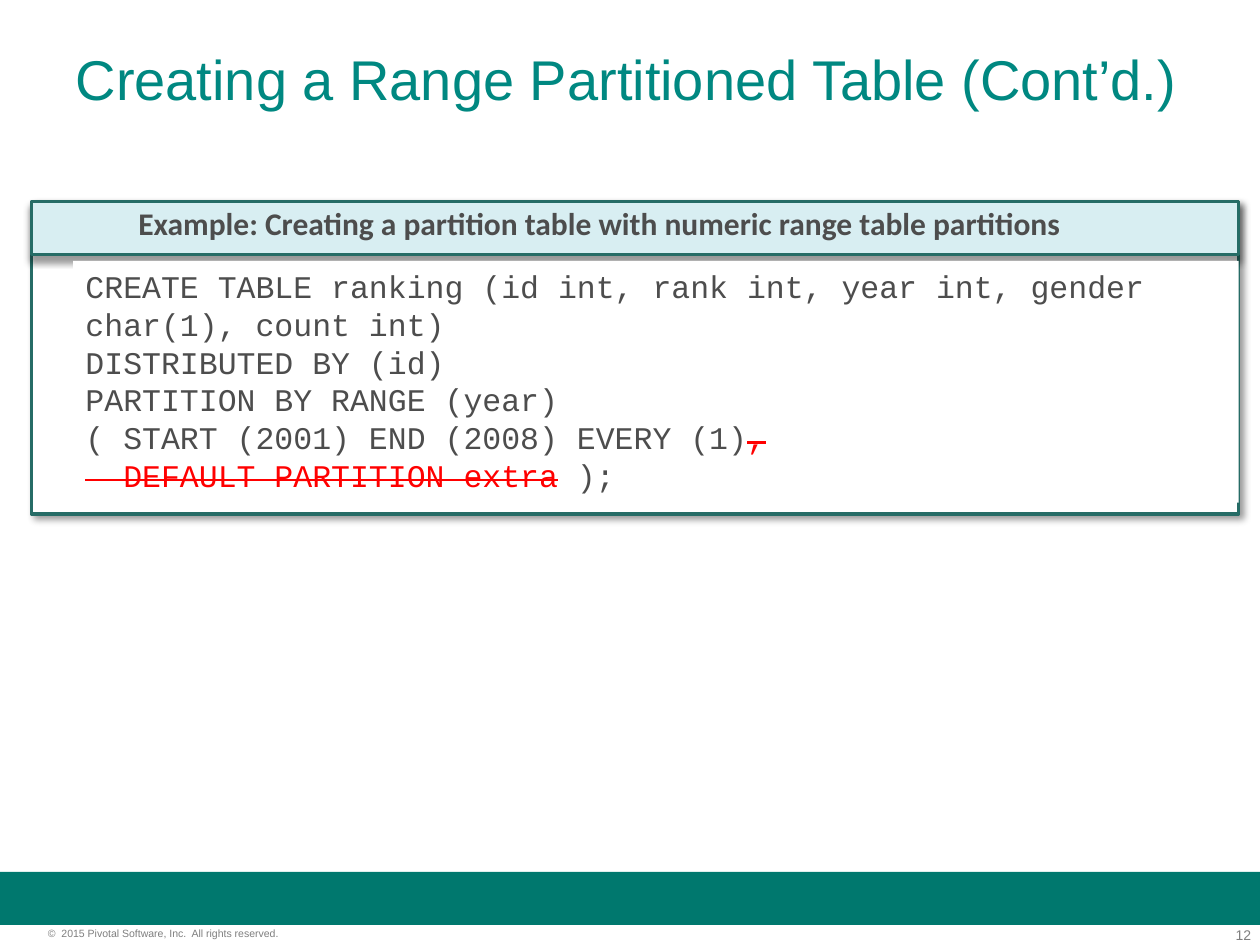
from lxml import etree
from pptx import Presentation
from pptx.dml.color import RGBColor
from pptx.enum import shapes, text
from pptx.oxml.ns import qn
from pptx.util import Inches, Pt

TITLE = "Creating a Range Partitioned Table (Cont’d.)"
HEADING = "Example: Creating a partition table with numeric range table partitions"
COPYRIGHT = "©  2015 Pivotal Software, Inc.  All rights reserved."
PAGE_NUMBER = "12"
# Each line holds (text, struck out) pieces; \v is a line break.
CODE = [
    [("CREATE TABLE ranking (id int, rank int, year int, gender\vchar(1), count int)", False)],
    [("DISTRIBUTED BY (id)", False)],
    [("PARTITION BY RANGE (year)", False)],
    [("( START (2001) END (2008) EVERY (1)", False), (",", True)],
    [("  DEFAULT PARTITION extra", True), (" );", False)],
]
WHITE, GREEN, TEAL, EDGE = "FFFFFF", "00786E", "008881", "266C66"
PALE, DARK, GREY, RED = "D8EEF2", "4D4D4D", "7F7F7F", "FF0000"
PANEL_LEFT, PANEL_TOP, PANEL_WIDTH = 0.25, 1.6, 9.58


def color(hex_code):
    return RGBColor.from_string(hex_code)


def style(font, name, size, hex_code, bold=False):
    font.name, font.size, font.bold = name, Pt(size), bold
    font.color.rgb = color(hex_code)


def add_rect(parent, left, top, width, height, fill, edge=None):
    box = parent.add_shape(shapes.MSO_SHAPE.RECTANGLE, Inches(left), Inches(top),
                           Inches(width), Inches(height))
    box.shadow.inherit = False
    box.fill.solid()
    box.fill.fore_color.rgb = color(fill)
    if edge:
        box.line.color.rgb = color(edge)
        box.line.width = Pt(2)
    else:
        box.line.fill.background()
    return box


def add_shadow(box, angle):
    effects = box._element.spPr.find(qn("a:effectLst"))
    shadow = etree.SubElement(effects, qn("a:outerShdw"), blurRad=str(Pt(4)),
                              dist=str(Pt(3)), dir=str(angle * 60000), rotWithShape="0")
    black = etree.SubElement(shadow, qn("a:srgbClr"), val="000000")
    etree.SubElement(black, qn("a:alpha"), val="40000")


def add_label(parent, left, top, width, height, words, font, inset=True,
              align=text.PP_ALIGN.LEFT):
    box = parent.add_textbox(Inches(left), Inches(top), Inches(width), Inches(height))
    frame = box.text_frame
    frame.word_wrap = False
    if not inset:
        frame.word_wrap = True
        frame.margin_left = frame.margin_right = frame.margin_top = frame.margin_bottom = 0
    para = frame.paragraphs[0]
    para.text, para.alignment = words, align
    style(para.font, *font)


def add_code(parent):
    box = add_rect(parent, 0.58, 2.07, 9.25, 1.92, WHITE)
    frame = box.text_frame
    frame.word_wrap = True
    frame.vertical_anchor = text.MSO_ANCHOR.TOP
    for index, line in enumerate(CODE):
        para = frame.add_paragraph() if index else frame.paragraphs[0]
        para.alignment = text.PP_ALIGN.LEFT
        for words, struck in line:
            for part_index, part in enumerate(words.split("\v")):
                if part_index:
                    para.add_line_break()
                span = para.add_run()
                span.text = part
                style(span.font, "Courier New", 18, RED if struck else DARK)
                if struck:
                    span._r.get_or_add_rPr().set("strike", "sngStrike")


def main():
    deck = Presentation()
    deck.slide_width, deck.slide_height = Inches(10), Inches(7.5)
    page = deck.slides.add_slide(deck.slide_layouts[5])

    title = page.shapes.title
    title.left, title.top, title.width, title.height = map(Inches, (0.5, 0.3, 9, 1.25))
    title.text_frame.text = TITLE
    title.text_frame.vertical_anchor = text.MSO_ANCHOR.TOP
    para = title.text_frame.paragraphs[0]
    para.alignment = text.PP_ALIGN.LEFT
    style(para.font, "Arial", 32, TEAL)

    add_rect(page.shapes, 0, 6.92, 10, 0.42, GREEN)
    add_label(page.shapes, 9.35, 7.35, 0.58, 0.13, PAGE_NUMBER, ("Arial", 8, GREY),
              inset=False, align=text.PP_ALIGN.RIGHT)
    add_label(page.shapes, 0.38, 7.36, 2.49, 0.1, COPYRIGHT, ("Arial", 6, GREY), inset=False)

    example = page.shapes.add_group_shape().shapes
    for height, fill, angle in [(2.48, WHITE, 45), (0.42, PALE, 90)]:
        panel = add_rect(example, PANEL_LEFT, PANEL_TOP, PANEL_WIDTH, height, fill, EDGE)
        add_shadow(panel, angle)
    add_label(example, 1, 1.57, 7.53, 0.4, HEADING, ("Calibri", 18, DARK, True))
    add_code(example)

    deck.save("out.pptx")


if __name__ == "__main__":
    main()
